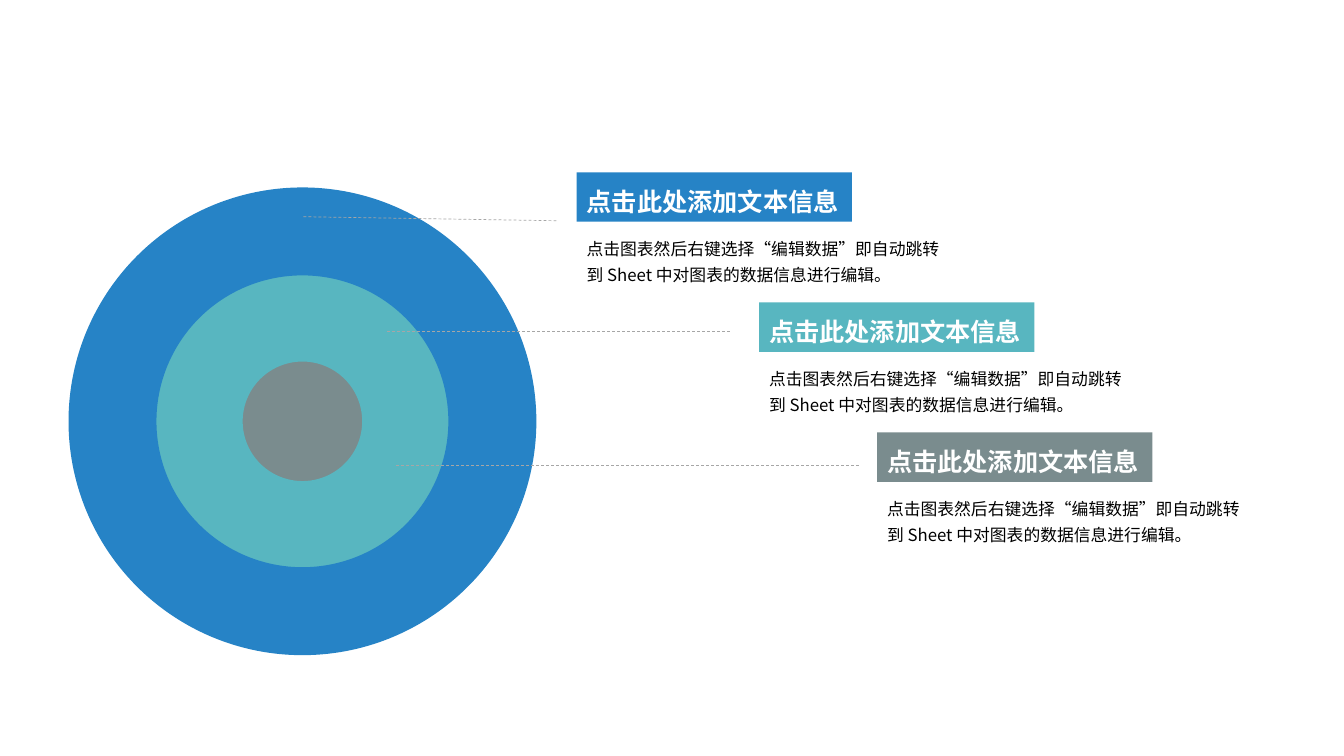
from lxml import etree
from pptx import Presentation
from pptx.dml.color import RGBColor
from pptx.enum.dml import MSO_LINE
from pptx.enum.shapes import MSO_CONNECTOR, MSO_SHAPE
from pptx.enum.text import MSO_ANCHOR, MSO_AUTO_SIZE, PP_ALIGN
from pptx.oxml.ns import qn
from pptx.util import Inches, Pt
from dataclasses import dataclass

HEADING = "点击此处添加文本信息"
DETAIL = "点击图表然后右键选择“编辑数据”即自动跳转到 Sheet 中对图表的数据信息进行编辑。"


@dataclass(frozen=True)
class Theme:
    blue: str = "2683C6"
    teal: str = "58B6C0"
    grey: str = "7A8C8E"
    leader: str = "A6A6A6"
    white: str = "FFFFFF"
    black: str = "000000"
    font: str = "Noto Sans CJK SC"
    heading_size: int = 18
    detail_size: int = 12
    line_spacing: float = 1.3
    leader_width: float = 0.5


THEME = Theme()

# Diameter, ring thickness as a share of it (None for a full disc), colour
RINGS = [
    (1.33, None, THEME.grey),
    (3.17, 0.313, THEME.teal),
    (4.64, 0.188, THEME.blue),
]
# Left edge, colour, leader start, leader end
CALLOUTS = [
    (5.72, THEME.blue, (3.01, 2.15), (5.52, 2.19)),
    (7.53, THEME.teal, (3.84, 3.29), (7.25, 3.29)),
    (8.70, THEME.grey, (3.93, 4.62), (8.52, 4.62)),
]
CENTER_X, CENTER_Y = 3.0, 4.18
FIRST_TOP, CALLOUT_STEP, DETAIL_OFFSET = 1.71, 1.29, 0.55
HEADING_SIZE = (2.73, 0.49)
DETAIL_BOX_SIZE = (3.7, 0.6)


def inches(*lengths):
    return [Inches(length) for length in lengths]


def add_filled(slide, preset, box, color):
    shape = slide.shapes.add_shape(preset, *inches(*box))
    shape.shadow.inherit = False
    shape.fill.solid()
    shape.fill.fore_color.rgb = RGBColor.from_string(color)
    shape.line.fill.background()
    return shape


def write(shape, text, wrap, size, color, bold):
    frame_format = {
        "word_wrap": wrap,
        "auto_size": MSO_AUTO_SIZE.SHAPE_TO_FIT_TEXT,
        "vertical_anchor": MSO_ANCHOR.TOP,
    }
    for name, value in frame_format.items():
        setattr(shape.text_frame, name, value)
    paragraph = shape.text_frame.paragraphs[0]
    paragraph.alignment = PP_ALIGN.LEFT
    paragraph.line_spacing = THEME.line_spacing
    run = paragraph.add_run()
    run.text = text
    font_format = {"name": THEME.font, "size": Pt(size), "bold": bold}
    for name, value in font_format.items():
        setattr(run.font, name, value)
    run.font.color.rgb = RGBColor.from_string(color)
    east_asian = etree.SubElement(run.font._element, qn("a:ea"))
    east_asian.set("typeface", THEME.font)


def add_ring(slide, diameter, thickness, color):
    preset = MSO_SHAPE.OVAL if thickness is None else MSO_SHAPE.DONUT
    radius = diameter / 2
    box = (CENTER_X - radius, CENTER_Y - radius, diameter, diameter)
    ring = add_filled(slide, preset, box, color)
    if thickness is not None:
        ring.adjustments[0] = thickness


def add_leader(slide, start, end):
    leader = slide.shapes.add_connector(
        MSO_CONNECTOR.STRAIGHT, *inches(*start, *end))
    leader.line.color.rgb = RGBColor.from_string(THEME.leader)
    leader.line.width = Pt(THEME.leader_width)
    leader.line.dash_style = MSO_LINE.DASH
    etree.SubElement(leader._element.spPr, qn("a:effectLst"))


def add_callout(slide, left, top, color):
    detail = slide.shapes.add_textbox(
        *inches(left, top + DETAIL_OFFSET, *DETAIL_BOX_SIZE))
    write(detail, DETAIL, True, THEME.detail_size, THEME.black, False)
    heading = add_filled(
        slide, MSO_SHAPE.RECTANGLE, (left, top, *HEADING_SIZE), color)
    write(heading, HEADING, False, THEME.heading_size, THEME.white, True)


def main():
    deck = Presentation()
    deck.slide_width, deck.slide_height = inches(13.33, 7.5)
    slide = deck.slides.add_slide(deck.slide_layouts[6])
    for ring in RINGS:
        add_ring(slide, *ring)
    for row, (left, color, start, end) in enumerate(CALLOUTS):
        add_leader(slide, start, end)
        add_callout(slide, left, FIRST_TOP + row * CALLOUT_STEP, color)
    deck.save("out.pptx")


if __name__ == "__main__":
    main()
